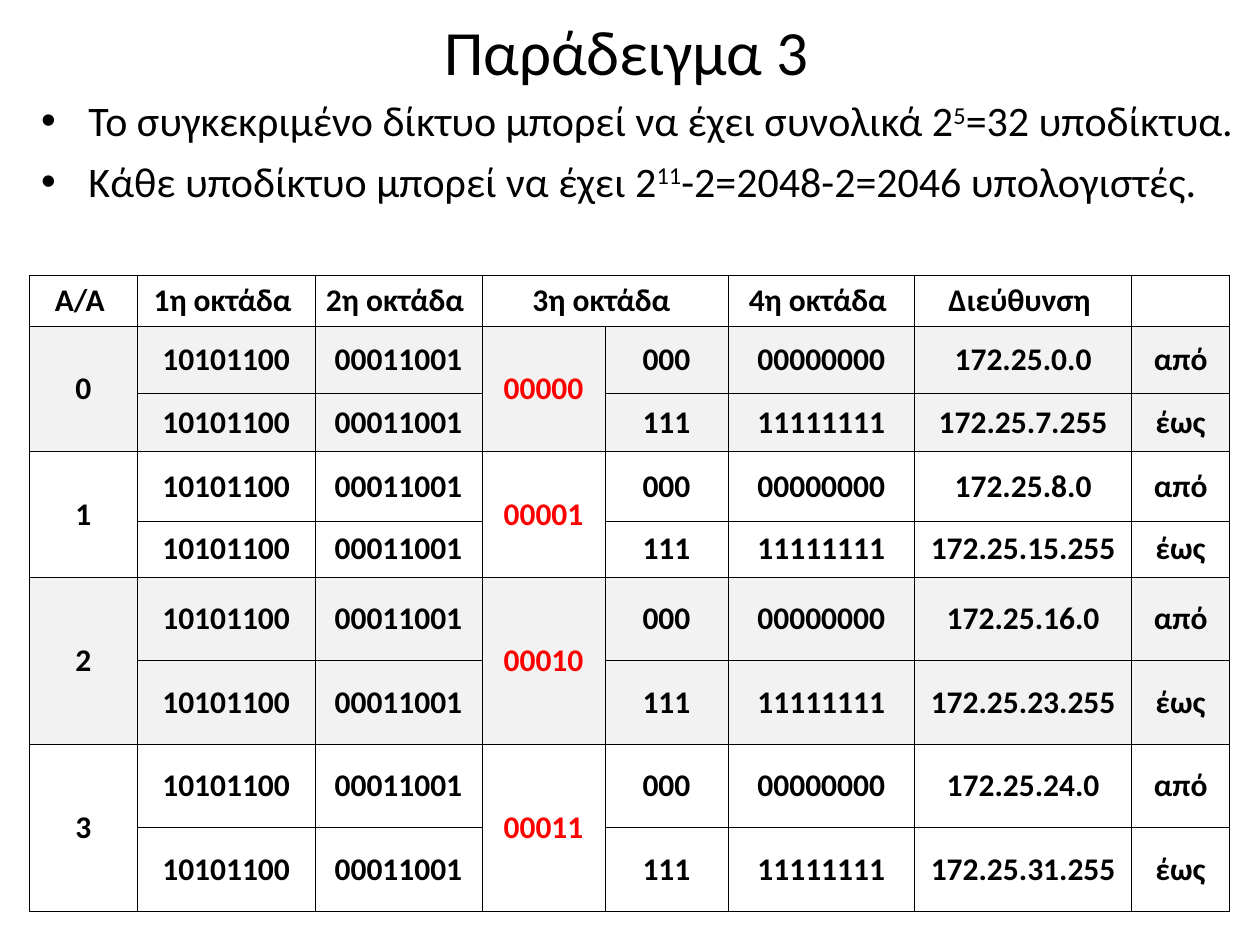
from dataclasses import dataclass

from lxml import etree
from pptx import Presentation
from pptx.dml.color import RGBColor
from pptx.enum import text as txt
from pptx.oxml import ns
from pptx.util import Pt


@dataclass(frozen=True)
class Theme:
    font: str = "Calibri"
    ink: str = "000000"
    accent: str = "FF0000"
    band: str = "F2F2F2"
    plain: str = "FFFFFF"
    title_size: float = 36
    body_size: float = 24
    table_size: float = 18
    border: float = 0.45


THEME = Theme()
CENTER = txt.PP_ALIGN.CENTER
MIDDLE = txt.MSO_ANCHOR.MIDDLE
HEADINGS = ["Α/Α ", "1η οκτάδα ", "2η οκτάδα ", "3η οκτάδα ", "", "4η οκτάδα ", "Διεύθυνση ", ""]
COLUMN_WIDTHS = [61.75, 101.5, 95.5, 70.25, 70.25, 106.75, 124, 56]
ROW_HEIGHTS = [24, 38.25, 33.5, 39.75, 32, 47.75, 47.75, 47.75, 47.75]
SUBNETS = 4
FACTS = [
    "Το συγκεκριμένο δίκτυο μπορεί να έχει συνολικά 2^5^=32 υποδίκτυα.",
    "Κάθε υποδίκτυο μπορεί να έχει 2^11^-2=2048-2=2046 υπολογιστές.",
]


def write(paragraph, content, size, color=THEME.ink, bold=False, align=None,
          bullet=False, space_before=None):
    paragraph.alignment = align
    if space_before:
        paragraph.space_before = Pt(space_before)
    if bullet:
        props = paragraph._p.get_or_add_pPr()
        props.set("marL", str(Pt(27)))
        props.set("indent", str(Pt(-27)))
        etree.SubElement(props, ns.qn("a:buFont")).set("typeface", "Arial")
        etree.SubElement(props, ns.qn("a:buChar")).set("char", "•")
    for index, part in enumerate(content.split("^")):
        run = paragraph.add_run()
        run.text = part
        run.font.name = THEME.font
        run.font.size = Pt(size)
        run.font.bold = bold
        run.font.color.rgb = RGBColor.from_string(color)
        if index % 2:
            run._r.get_or_add_rPr().set("baseline", "30000")


def add_frame(slide, left, top, width, height):
    frame = slide.shapes.add_textbox(Pt(left), Pt(top), Pt(width), Pt(height)).text_frame
    frame.word_wrap = True
    return frame


def add_title(slide):
    frame = add_frame(slide, 34, 0, 648, 57)
    frame.vertical_anchor = MIDDLE
    write(frame.paragraphs[0], "Παράδειγμα 3", THEME.title_size, align=CENTER)


def add_facts(slide):
    frame = add_frame(slide, 16.5, 50.5, 703.5, 90)
    for index, fact in enumerate(FACTS):
        paragraph = frame.add_paragraph() if index else frame.paragraphs[0]
        write(paragraph, fact, THEME.body_size, bullet=True, space_before=6 * index)


def border_cell(cell):
    props = cell._tc.get_or_add_tcPr()
    for side in ("lnL", "lnR", "lnT", "lnB"):
        line = etree.SubElement(props, ns.qn(f"a:{side}"), w=str(Pt(THEME.border)))
        fill = etree.SubElement(line, ns.qn("a:solidFill"))
        etree.SubElement(fill, ns.qn("a:srgbClr"), val=THEME.ink)


def fill_cell(cell, content, fill, color):
    border_cell(cell)
    cell.fill.solid()
    cell.fill.fore_color.rgb = RGBColor.from_string(fill)
    cell.vertical_anchor = MIDDLE
    cell.margin_left = cell.margin_right = Pt(5)
    cell.margin_top = cell.margin_bottom = Pt(3.6)
    paragraph = cell.text_frame.paragraphs[0]
    if content:
        write(paragraph, content, THEME.table_size, color, bold=True, align=CENTER)
    else:
        paragraph.font.size = Pt(THEME.table_size)


def subnet_rows(number):
    first = number * 8
    network = ["10101100", "00011001"]
    return [
        [str(number), *network, f"{number:05b}", "000", "0" * 8, f"172.25.{first}.0", "από"],
        ["", *network, "", "111", "1" * 8, f"172.25.{first + 7}.255", "έως"],
    ]


def add_subnet_table(slide):
    rows = [HEADINGS] + [row for number in range(SUBNETS) for row in subnet_rows(number)]
    table = slide.shapes.add_table(
        len(rows), len(HEADINGS), Pt(16.75), Pt(157.5),
        Pt(sum(COLUMN_WIDTHS)), Pt(sum(ROW_HEIGHTS))).table
    table.first_row = table.horz_banding = False
    for column, width in zip(table.columns, COLUMN_WIDTHS):
        column.width = Pt(width)
    for row, height in zip(table.rows, ROW_HEIGHTS):
        row.height = Pt(height)
    for r, row in enumerate(rows):
        fill = THEME.band if r % 4 in (1, 2) else THEME.plain
        for c, content in enumerate(row):
            color = THEME.accent if r and c == 3 else THEME.ink
            fill_cell(table.cell(r, c), content, fill, color)
    table.cell(0, 3).merge(table.cell(0, 4))
    for r in range(1, len(rows), 2):
        for c in (0, 3):
            table.cell(r, c).merge(table.cell(r + 1, c))


def main():
    deck = Presentation()
    deck.slide_width, deck.slide_height = Pt(720), Pt(540)
    slide = deck.slides.add_slide(deck.slide_layouts[6])
    add_facts(slide)
    add_title(slide)
    add_subnet_table(slide)
    deck.save("out.pptx")


if __name__ == "__main__":
    main()
